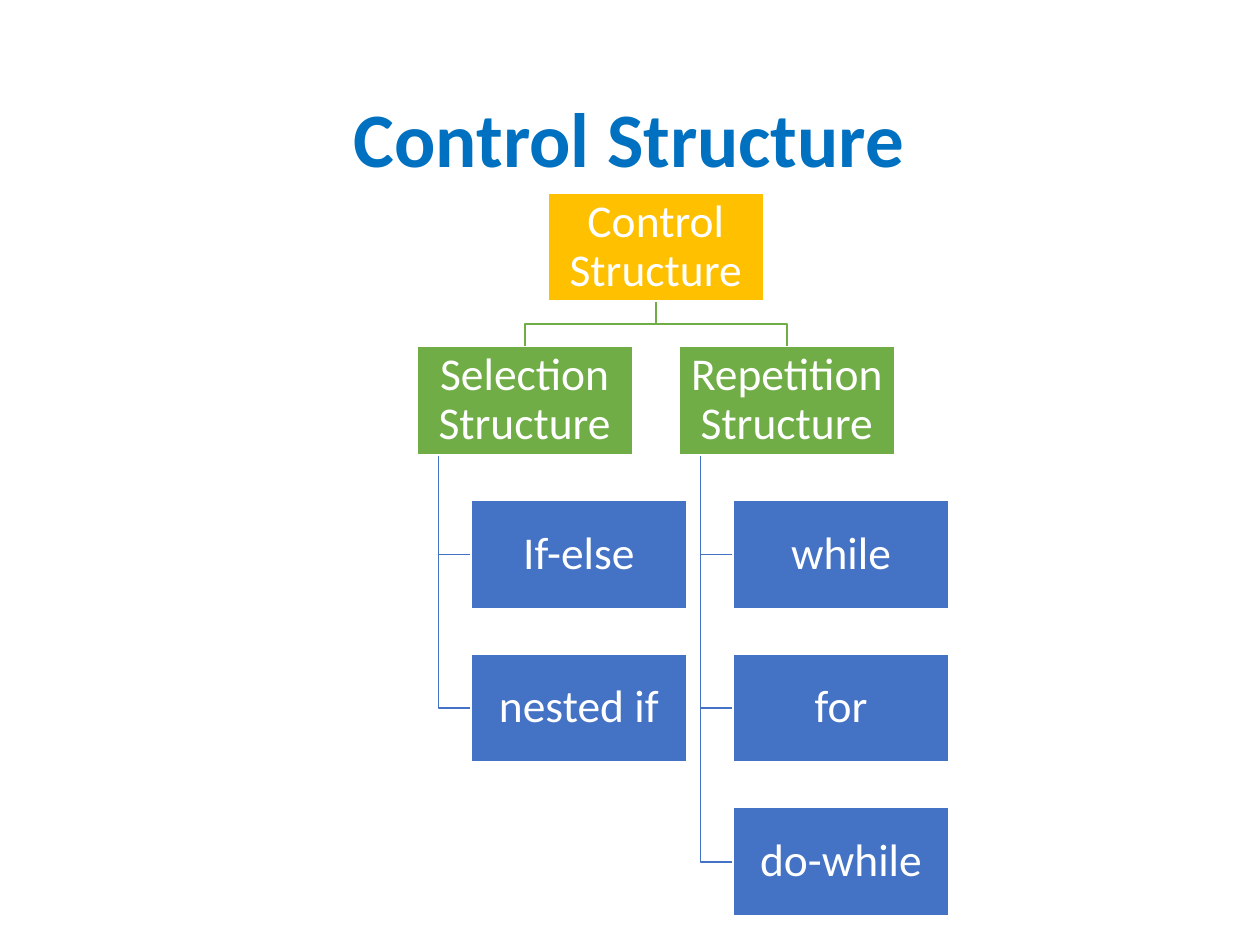
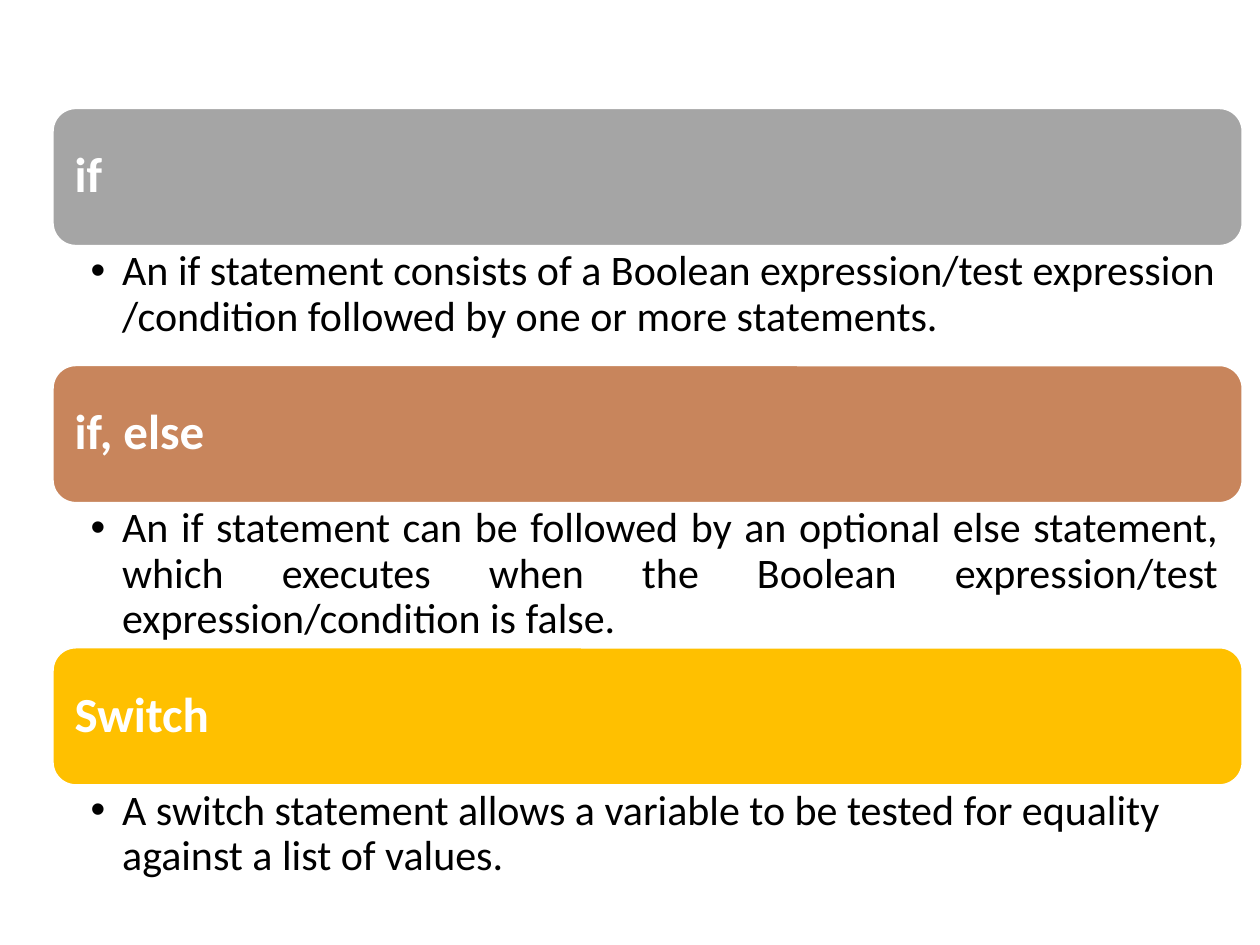
"""Build two slides on control structures: a hierarchy chart and a list of selection statements."""
from lxml import etree
from pptx import Presentation
from pptx.dml.color import RGBColor
from pptx.enum.shapes import MSO_SHAPE
from pptx.enum.text import MSO_ANCHOR, PP_ALIGN
from pptx.oxml.ns import qn
from pptx.util import Inches, Pt

RECTANGLE, ROUNDED = MSO_SHAPE.RECTANGLE, MSO_SHAPE.ROUNDED_RECTANGLE
MIDDLE, TOP = MSO_ANCHOR.MIDDLE, MSO_ANCHOR.TOP
LEFT, CENTER, JUSTIFY = PP_ALIGN.LEFT, PP_ALIGN.CENTER, PP_ALIGN.JUSTIFY

WHITE = RGBColor(0xFF, 0xFF, 0xFF)
BLACK = RGBColor(0x00, 0x00, 0x00)
TITLE_BLUE = RGBColor(0x00, 0x70, 0xC0)
BLUE = RGBColor(0x44, 0x72, 0xC4)
GREEN = RGBColor(0x70, 0xAD, 0x47)
GOLD = RGBColor(0xFF, 0xC0, 0x00)
GRAY = RGBColor(0xA5, 0xA5, 0xA5)
COPPER = RGBColor(0xC8, 0x85, 0x5C)

FONT = "Calibri"
TITLE_FONT = {"name": FONT, "size": Pt(44), "bold": True}
NODE_FONT = {"name": FONT, "size": Pt(26), "bold": False}
HEADING_FONT = {"name": FONT, "size": Pt(28), "bold": True}
DETAIL_FONT = {"name": FONT, "size": Pt(24), "bold": False}


def write(shape, text, font, color, align, anchor, insets, spacing=0.9):
    """Fill a shape with one formatted paragraph and return the paragraph."""
    frame = shape.text_frame
    frame.word_wrap = True
    frame.vertical_anchor = anchor
    for side, inset in zip(("left", "top", "right", "bottom"), insets):
        setattr(frame, f"margin_{side}", Inches(inset))
    paragraph = frame.paragraphs[0]
    paragraph.alignment = align
    paragraph.line_spacing = spacing
    run = paragraph.add_run()
    run.text = text
    for attribute, value in font.items():
        setattr(run.font, attribute, value)
    run.font.color.rgb = color
    return paragraph


def add_box(slide, preset, bounds, color):
    """Add a filled shape with a thin white outline."""
    box = slide.shapes.add_shape(preset, *map(Inches, bounds))
    box.shadow.inherit = False
    box.fill.solid()
    box.fill.fore_color.rgb = color
    box.line.color.rgb = WHITE
    box.line.width = Pt(1)
    return box


prs = Presentation()
prs.slide_width, prs.slide_height = Inches(10), Inches(7.5)

hierarchy = prs.slides.add_slide(prs.slide_layouts[5])
title = hierarchy.shapes.title
title.left, title.top, title.width, title.height = map(Inches, (1.72, 0.7, 6.55, 0.76))
heading = write(title, "Control Structure", TITLE_FONT, TITLE_BLUE, CENTER, MIDDLE,
                (0, 0.01, 0, 0), 1.0)
heading.space_before = Pt(1.1)

NODE_W, NODE_H = 1.71, 0.86
ROW_TOP, ROW_STEP = 1.53, 1.22
BRANCH_LEFT, BRANCH_STEP = 3.31, 2.08
STEM_INSET, LEAF_INDENT = 0.17, 0.43

branches = [
    ("Selection Structure", ["If-else", "nested if"]),
    ("Repetition Structure", ["while", "for", "do-while"]),
]
root_left = BRANCH_LEFT + BRANCH_STEP / 2
root_center, root_bottom = root_left + NODE_W / 2, ROW_TOP + NODE_H
branch_top = ROW_TOP + ROW_STEP
branch_bottom = branch_top + NODE_H
fork_y = (root_bottom + branch_top) / 2

nodes = [("Control Structure", root_left, ROW_TOP, GOLD)]
links = []
for column, (branch, leaves) in enumerate(branches):
    branch_left = BRANCH_LEFT + column * BRANCH_STEP
    branch_center = branch_left + NODE_W / 2
    nodes.append((branch, branch_left, branch_top, GREEN))
    links.append((GREEN, [(root_center, root_bottom), (root_center, fork_y),
                          (branch_center, fork_y), (branch_center, branch_top)]))
    stem_x, leaf_left = branch_left + STEM_INSET, branch_left + LEAF_INDENT
    for row, leaf in enumerate(leaves, start=2):
        leaf_top = ROW_TOP + row * ROW_STEP
        leaf_middle = leaf_top + NODE_H / 2
        nodes.append((leaf, leaf_left, leaf_top, BLUE))
        links.append((BLUE, [(stem_x, branch_bottom), (stem_x, leaf_middle),
                             (leaf_left, leaf_middle)]))

for color, points in links:
    start, *bends = [(Inches(x), Inches(y)) for x, y in points]
    builder = hierarchy.shapes.build_freeform(*start)
    builder.add_line_segments(bends, close=False)
    link = builder.convert_to_shape()
    link.shadow.inherit = False
    link.fill.background()
    link.line.color.rgb = color
    link.line.width = Pt(1)

for label, left, top, color in nodes:
    node = add_box(hierarchy, RECTANGLE, (left, top, NODE_W, NODE_H), color)
    write(node, label, NODE_FONT, WHITE, CENTER, MIDDLE, (0.02,) * 4)

statements = prs.slides.add_slide(prs.slide_layouts[6])
BAND_LEFT, BAND_W, BAND_H = 0.42, 9.44, 1.09
sections = [
    ("if", GRAY, 0.95, LEFT,
     "An if statement consists of a Boolean expression/test expression "
     "/condition followed by one or more statements."),
    ("if, else", COPPER, 1.15, JUSTIFY,
     "An if statement can be followed by an optional else statement, which executes "
     "when the Boolean expression/test expression/condition is false."),
    ("Switch", GOLD, 0.95, LEFT,
     "A switch statement allows a variable to be tested for equality "
     "against a list of values."),
]
band_top = 0.86
for keyword, color, detail_height, align, detail in sections:
    band = add_box(statements, ROUNDED, (BAND_LEFT, band_top, BAND_W, BAND_H), color)
    write(band, keyword, HEADING_FONT, WHITE, LEFT, MIDDLE, (0.12,) * 4)
    detail_top = band_top + BAND_H
    detail_box = statements.shapes.add_textbox(
        *map(Inches, (BAND_LEFT, detail_top, BAND_W, detail_height)))
    bullet = write(detail_box, detail, DETAIL_FONT, BLACK, align, TOP,
                   (0.3, 0.03, 0.19, 0.03))
    bullet.level = 1
    properties = bullet._p.get_or_add_pPr()
    properties.set("marL", str(Inches(0.25)))
    properties.set("indent", str(Inches(-0.25)))
    etree.SubElement(properties, qn("a:buFont"), typeface="Arial")
    etree.SubElement(properties, qn("a:buChar"), char="•")
    band_top = detail_top + detail_height

prs.save("out.pptx")
